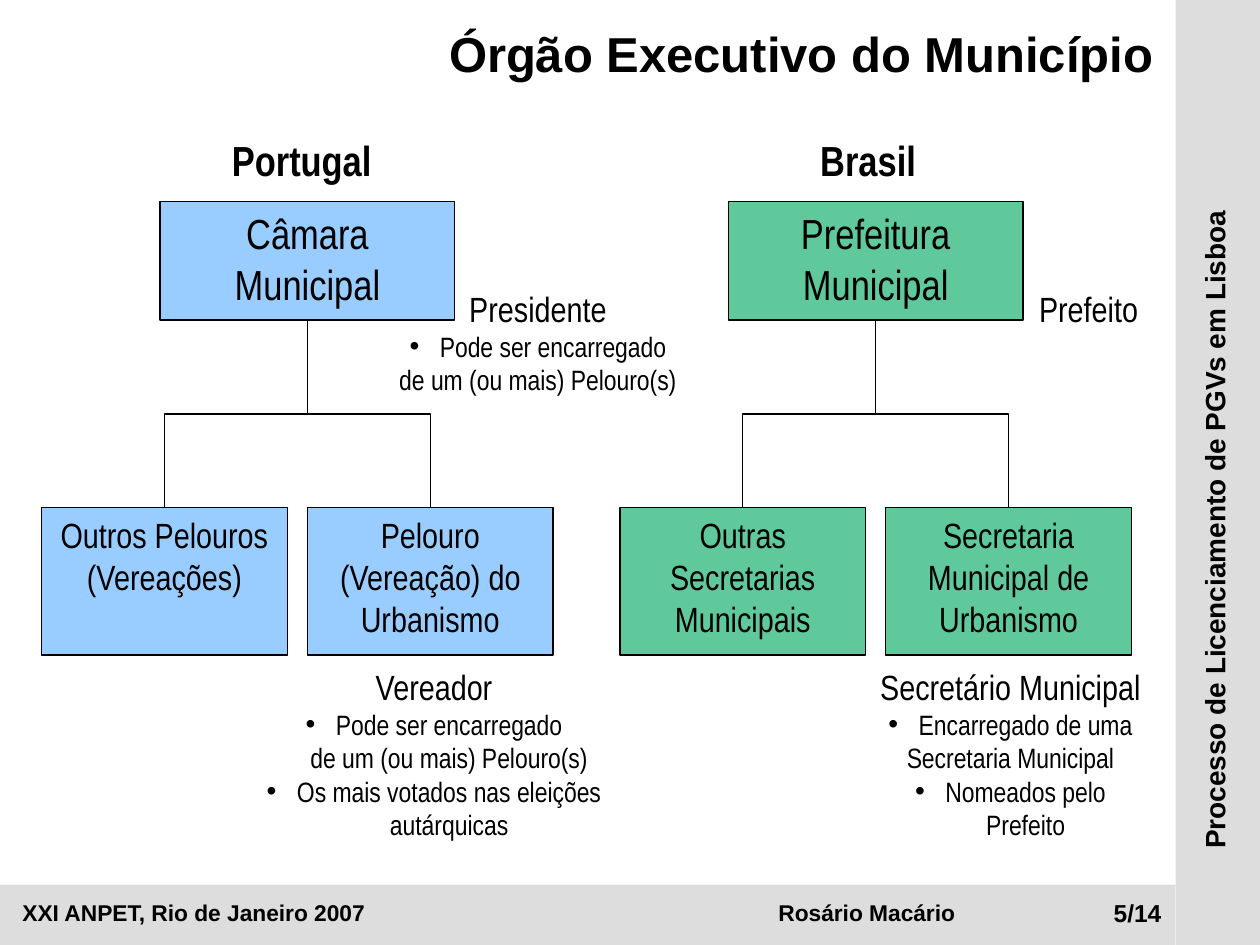
from lxml import etree
from pptx import Presentation
from pptx.dml.color import RGBColor
from pptx.enum import shapes, text
from pptx.oxml.ns import qn
from pptx.util import Inches, Pt

BLACK, GREY, BLUE, GREEN = "000000", "DDDDDD", "99CCFF", "60C99C"
LEFT, CENTER, RIGHT = text.PP_ALIGN.LEFT, text.PP_ALIGN.CENTER, text.PP_ALIGN.RIGHT
NARROW = "Arial Narrow"
INDENT = 0.24

BANDS = [(0, 7.02, 9.33, 0.48), (9.33, 0, 0.67, 7.5)]
TITLE = "Órgão Executivo do Município"
FOOTER = "XXI ANPET, Rio de Janeiro 2007\tRosário Macário"
PAGE = "5/14"
SIDE_LABEL = "Processo de Licenciamento de PGVs em Lisboa"

ROOT_TOP, ROOT_SIZE = 1.6, (2.34, 0.94)
CHILD_TOP, CHILD_SIZE, CHILD_STEP = 4.03, (1.95, 1.17), 2.11
CHARTS = [
    {"country": "Portugal", "heading": (1.74, 1.02, 1.31, 0.5), "color": BLUE,
     "root": ("Câmara Municipal", 1.27), "children_left": 0.33,
     "children": ["Outros Pelouros (Vereações)", "Pelouro (Vereação) do Urbanismo"]},
    {"country": "Brasil", "heading": (6.41, 1.02, 0.96, 0.5), "color": GREEN,
     "root": ("Prefeitura Municipal", 5.78), "children_left": 4.92,
     "children": ["Outras Secretarias Municipais", "Secretaria Municipal de Urbanismo"]},
]
# Each note: box, office, then (bulleted, text) lines
NOTES = [
    ((3.07, 2.23, 2.4, 0.97), "Presidente",
     [(True, "Pode ser encarregado"), (False, "de um (ou mais) Pelouro(s)")]),
    ((1.58, 5.23, 3.73, 1.24), "Vereador",
     [(True, "Pode ser encarregado\vde um (ou mais) Pelouro(s)"),
      (True, "Os mais votados nas eleições autárquicas")]),
    ((6.87, 5.23, 2.3, 1.24), "Secretário Municipal",
     [(True, "Encarregado de uma"), (False, "Secretaria Municipal"),
      (True, "Nomeados pelo Prefeito")]),
    ((8.11, 2.23, 1.06, 0.44), "Prefeito", []),
]

presentation = Presentation()
presentation.slide_width, presentation.slide_height = Inches(10), Inches(7.5)
slide = presentation.slides.add_slide(presentation.slide_layouts[6])


def rgb(color):
    return RGBColor.from_string(color)


def write(paragraph, words, size, font="Arial", bold=False, align=CENTER):
    paragraph.text = words
    paragraph.alignment = align
    for run in paragraph.runs:
        run.font.size, run.font.name, run.font.bold = Pt(size), font, bold
        run.font.color.rgb = rgb(BLACK)


def add_text(box, words, size, wrap=True, **style):
    shape = slide.shapes.add_textbox(*map(Inches, box))
    shape.text_frame.word_wrap = wrap
    write(shape.text_frame.paragraphs[0], words, size, **style)
    return shape


def add_box(box, color, outlined=True):
    shape = slide.shapes.add_shape(shapes.MSO_SHAPE.RECTANGLE, *map(Inches, box))
    shape.shadow.inherit = False
    shape.fill.solid()
    shape.fill.fore_color.rgb = rgb(color)
    if outlined:
        shape.line.color.rgb = rgb(BLACK)
        shape.line.width = Pt(0.75)
    else:
        shape.line.fill.background()
    return shape


def add_unit(box, color, words, size):
    frame = add_box(box, color).text_frame
    frame.word_wrap = True
    frame.vertical_anchor = text.MSO_ANCHOR.TOP
    write(frame.paragraphs[0], words, size, NARROW)


def add_branch(x1, y1, x2, y2):
    """Elbow leaving downwards: a horizontal elbow turned by a quarter."""
    length, across = y2 - y1, abs(x2 - x1)
    left, top = (x1 + x2 - length) / 2, (y1 + y2 - across) / 2
    connector = slide.shapes.add_connector(
        shapes.MSO_CONNECTOR.ELBOW,
        *map(Inches, (left, top, left + length, top + across)))
    connector.line.color.rgb = rgb(BLACK)
    connector.line.width = Pt(0.75)
    properties = connector._element.spPr
    etree.SubElement(properties, qn("a:effectLst"))
    frame = properties.find(qn("a:xfrm"))
    if x2 > x1:
        frame.set("rot", "16200000")
        frame.set("flipH", "1")
    else:
        frame.set("rot", "5400000")


def add_bullet(paragraph):
    properties = paragraph._p.get_or_add_pPr()
    properties.set("marL", str(Inches(INDENT)))
    properties.set("indent", str(-Inches(INDENT)))
    etree.SubElement(properties, qn("a:buFont")).set("typeface", "Arial")
    etree.SubElement(properties, qn("a:buChar")).set("char", "•")


def add_tab_stop(paragraph, position):
    tabs = etree.SubElement(paragraph._p.get_or_add_pPr(), qn("a:tabLst"))
    stop = etree.SubElement(tabs, qn("a:tab"))
    stop.set("pos", str(Inches(position)))
    stop.set("algn", "l")


for band in BANDS:
    add_box(band, GREY, outlined=False)
footer = add_text((0.08, 7.08, 8.7, 0.32), FOOTER, 13, bold=True, align=LEFT)
add_tab_stop(footer.text_frame.paragraphs[0], 6)
add_text((8.74, 7.08, 0.71, 0.42), PAGE, 14, bold=True, align=LEFT)
add_text((6.82, 4.02, 5.64, 0.37), SIDE_LABEL, 16, bold=True).rotation = 270
title = add_text((1.5, -0.08, 7.75, 1), TITLE, 28, bold=True, align=RIGHT)
title.text_frame.vertical_anchor = text.MSO_ANCHOR.MIDDLE

for chart in CHARTS:
    add_text(chart["heading"], chart["country"], 24, wrap=False, font=NARROW, bold=True)
    name, root_left = chart["root"]
    add_unit((root_left, ROOT_TOP, *ROOT_SIZE), chart["color"], name, 24)
    for index, child in enumerate(chart["children"]):
        left = chart["children_left"] + index * CHILD_STEP
        add_unit((left, CHILD_TOP, *CHILD_SIZE), chart["color"], child, 20)
        add_branch(root_left + ROOT_SIZE[0] / 2, ROOT_TOP + ROOT_SIZE[1],
                   left + CHILD_SIZE[0] / 2, CHILD_TOP)

for box, office, lines in NOTES:
    note = add_text(box, office, 20, wrap=bool(lines), font=NARROW)
    for bulleted, words in lines:
        paragraph = note.text_frame.add_paragraph()
        if bulleted:
            add_bullet(paragraph)
        write(paragraph, words, 16, NARROW)

presentation.save("out.pptx")
